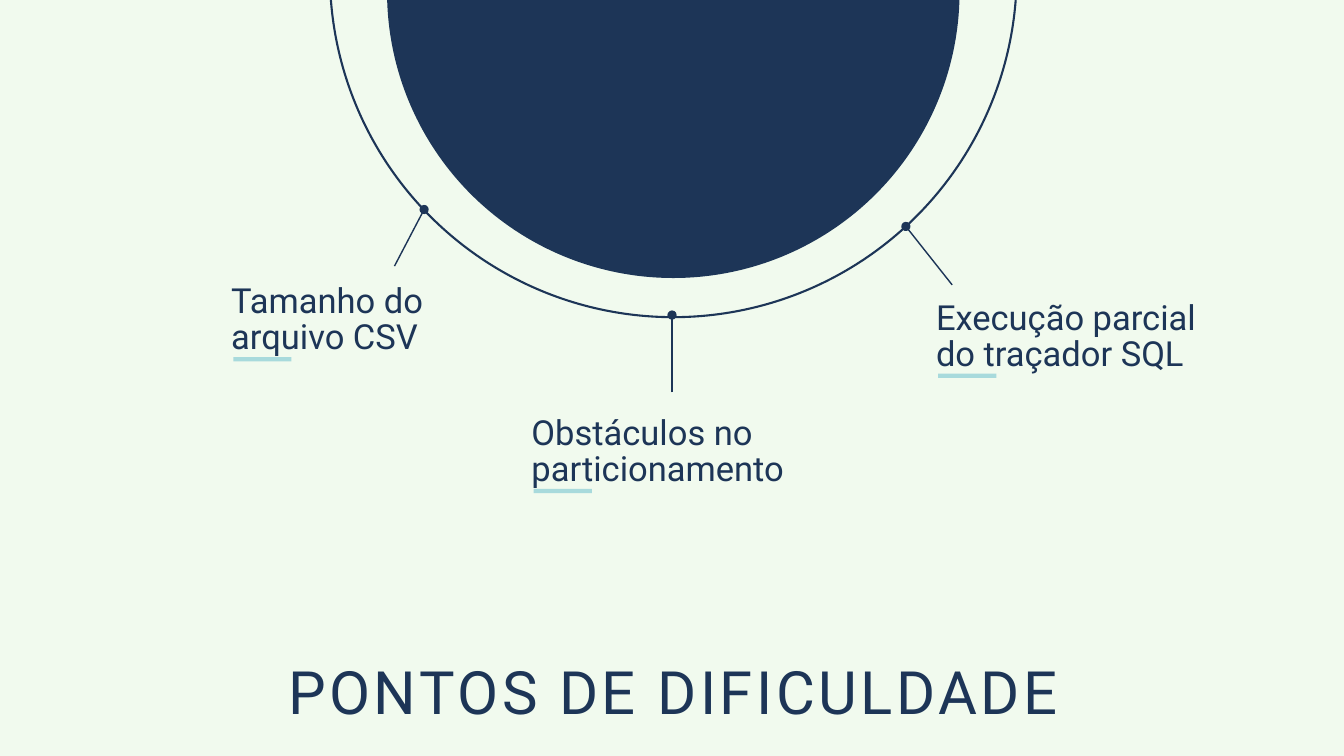
"""Builds the slide on difficulty points: a ringed disc with three callouts."""
import lxml.etree
import pptx
import pptx.dml.color
import pptx.enum.shapes
import pptx.enum.text
import pptx.oxml.ns
import pptx.util

Cm = pptx.util.Cm
Pt = pptx.util.Pt
NAVY = pptx.dml.color.RGBColor(0x1D, 0x35, 0x57)
AQUA = pptx.dml.color.RGBColor(0xA8, 0xDA, 0xDC)
MINT = pptx.dml.color.RGBColor(0xF1, 0xFA, 0xEE)

CENTER_X = 25.45
CALLOUTS = [
    ("Tamanho do arquivo CSV", (8.74, 10.77), (14.91, 10.06), (16.03, 7.92)),
    ("Obstáculos no particionamento", (20.09, 15.75), (25.4, 14.83), (25.4, 11.91)),
    ("Execução parcial do traçador SQL", (35.38, 11.4), (35.99, 10.77), (34.24, 8.56)),
]


class Painter:
    font = "Roboto"

    def __init__(self, page):
        self.page = page
        page.background.fill.solid()
        page.background.fill.fore_color.rgb = MINT

    def shape(self, kind, left, top, width, height, fill=None, line=None):
        shape = self.page.shapes.add_shape(kind, Cm(left), Cm(top), Cm(width), Cm(height))
        shape.shadow.inherit = False
        if fill is None:
            shape.fill.background()
        else:
            shape.fill.solid()
            shape.fill.fore_color.rgb = fill
        if line is None:
            shape.line.fill.background()
        else:
            shape.line.color.rgb = line
            shape.line.width = Pt(2.25)

    def circle(self, center_y, radius, **colors):
        self.shape(pptx.enum.shapes.MSO_SHAPE.OVAL, CENTER_X - radius,
                   center_y - radius, 2 * radius, 2 * radius, **colors)

    def text(self, words, left, top, width, height, size, leading, align=None, tracking=None):
        box = self.page.shapes.add_textbox(Cm(left), Cm(top), Cm(width), Cm(height))
        frame = box.text_frame
        frame.margin_left = frame.margin_right = frame.margin_top = frame.margin_bottom = 0
        frame.word_wrap = True
        frame.auto_size = pptx.enum.text.MSO_AUTO_SIZE.SHAPE_TO_FIT_TEXT
        frame.text = words
        para = frame.paragraphs[0]
        para.alignment = align
        para.line_spacing = Pt(leading)
        span = para.runs[0]
        span.font.name = self.font
        span.font.size = Pt(size)
        span.font.color.rgb = NAVY
        if tracking is not None:
            span.font._element.set("spc", str(round(tracking * 100)))

    def pointer(self, start, end):
        line = self.page.shapes.add_connector(
            pptx.enum.shapes.MSO_CONNECTOR.STRAIGHT, *map(Cm, start + end))
        line.line.color.rgb = NAVY
        line.line.width = Pt(1.5)
        qn = pptx.oxml.ns.qn
        lxml.etree.SubElement(line.line._get_or_add_ln(), qn("a:tailEnd"),
                              type="oval", w="lg", len="lg")
        lxml.etree.SubElement(line._element.spPr, qn("a:effectLst"))

    def callout(self, words, corner, start, end):
        left, top = corner
        self.shape(pptx.enum.shapes.MSO_SHAPE.RECTANGLE,
                   left + 0.08, top + 2.73, 2.2, 0.16, fill=AQUA)
        self.text(words, left, top, 10.74, 2.72, 37, 38.5)
        self.pointer(start, end)


def main():
    deck = pptx.Presentation()
    deck.slide_width = Cm(50.8)
    deck.slide_height = Cm(28.58)
    painter = Painter(deck.slides.add_slide(deck.slide_layouts[6]))
    painter.circle(-0.99, 12.98, line=NAVY)
    painter.circle(-0.31, 10.82, fill=NAVY)
    for callout in CALLOUTS:
        painter.callout(*callout)
    painter.text("PONTOS DE DIFICULDADE", 5.77, 24.31, 39.37, 3.02, 64, 89.6,
                 align=pptx.enum.text.PP_ALIGN.CENTER, tracking=3.8)
    deck.save("out.pptx")


if __name__ == "__main__":
    main()
